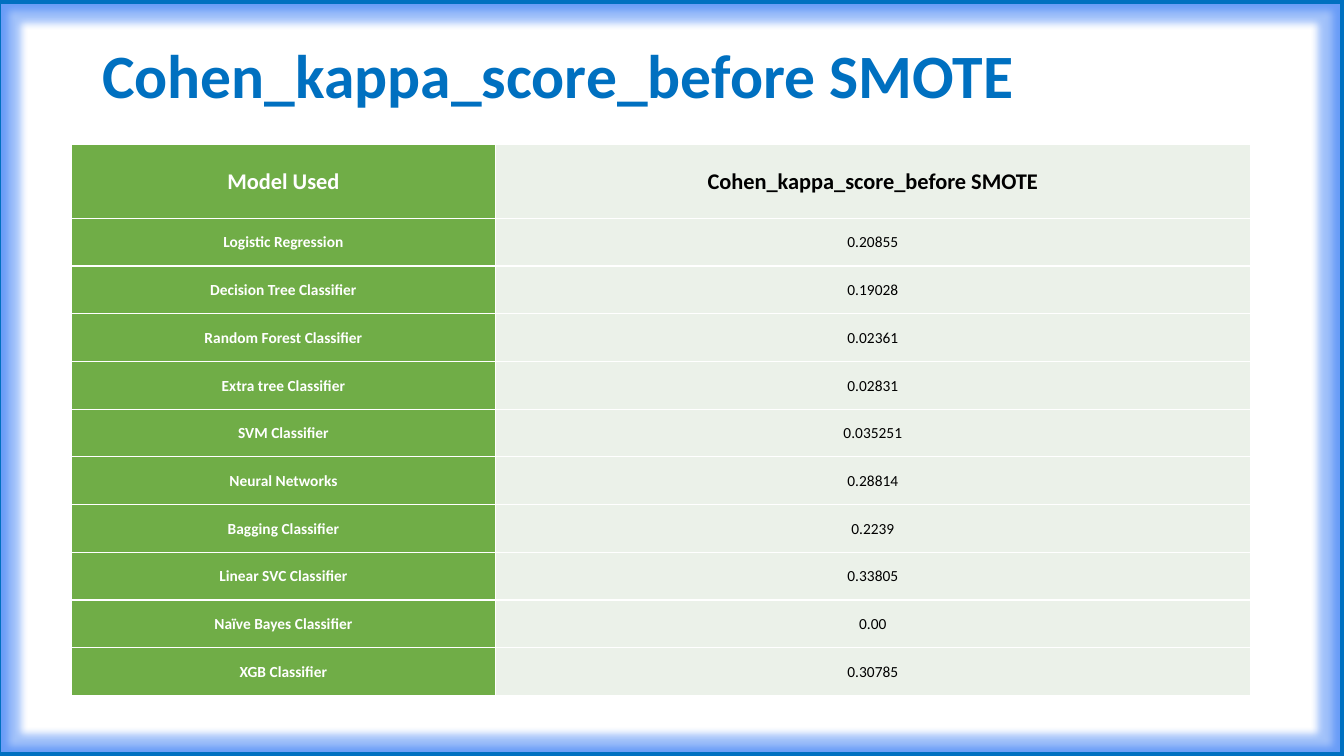
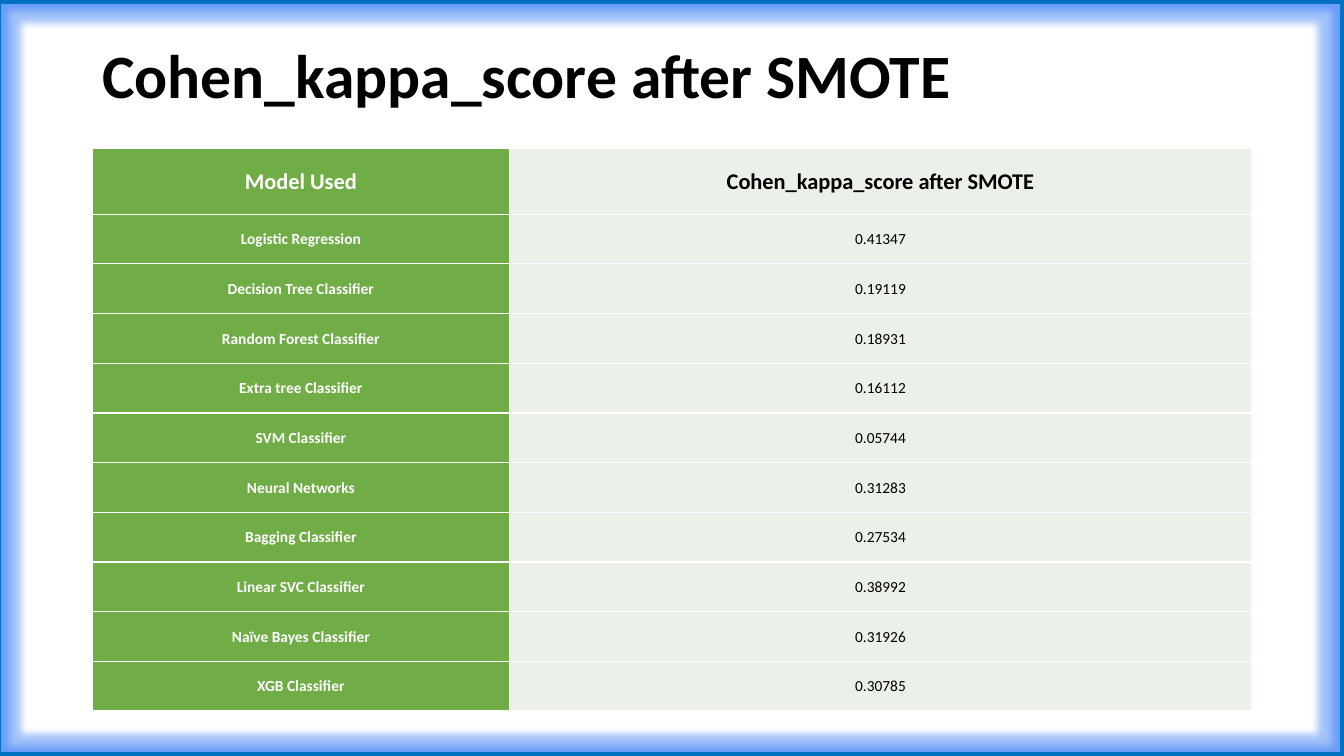
from lxml.etree import SubElement
from pptx import Presentation
from pptx.dml.color import RGBColor
from pptx.enum.shapes import MSO_SHAPE
from pptx.enum.text import MSO_ANCHOR, PP_ALIGN
from pptx.oxml import parse_xml
from pptx.oxml.ns import nsdecls, qn
from pptx.util import Pt

# Shared look
FONT = "Calibri"
BLUE, GREEN, PALE = "0070C0", "70AD47", "EBF1E9"
BLACK, WHITE, GLOW = "000000", "FFFFFF", "1465F4"
WIDE, HIGH = 960, 540

# Content
MODELS = ["Logistic Regression", "Decision Tree Classifier",
          "Random Forest Classifier", "Extra tree Classifier",
          "SVM Classifier", "Neural Networks", "Bagging Classifier",
          "Linear SVC Classifier", "Naïve Bayes Classifier",
          "XGB Classifier"]
BEFORE = ["0.20855", "0.19028", "0.02361", "0.02831", "0.035251",
          "0.28814", "0.2239", "0.33805", "0.00", "0.30785"]
AFTER = ["0.41347", "0.19119", "0.18931", "0.16112", "0.05744",
         "0.31283", "0.27534", "0.38992", "0.31926", "0.30785"]


def color(code):
    return RGBColor.from_string(code)


def style(para, size, code, bold):
    font = para.font
    font.name, font.size, font.bold = FONT, Pt(size), bold
    font.color.rgb = color(code)


def add_title(slide, text, code):
    box = slide.shapes.add_textbox(Pt(66), Pt(29), Pt(828), Pt(104))
    frame = box.text_frame
    frame.word_wrap = True
    frame.vertical_anchor = MSO_ANCHOR.TOP
    para = frame.paragraphs[0]
    para.text = text
    para.line_spacing = 0.9
    style(para, 44, code, True)


def add_border(slide):
    rect = slide.shapes.add_shape(MSO_SHAPE.RECTANGLE, Pt(-2), 0,
                                  Pt(WIDE + 2), Pt(HIGH))
    rect.fill.background()
    rect.line.color.rgb = color(BLUE)
    rect.line.width = Pt(6)
    rect.shadow.inherit = False
    # Soft glow around the line
    effects = rect.element.spPr.find(qn("a:effectLst"))
    effects.append(parse_xml(
        f'<a:glow {nsdecls("a")} rad="{Pt(11)}"><a:srgbClr val="{GLOW}">'
        '<a:alpha val="40000"/></a:srgbClr></a:glow>'))


def add_edges(cell):
    props = cell._tc.get_or_add_tcPr()
    for index, side in enumerate(("lnL", "lnR", "lnT", "lnB")):
        line = parse_xml(
            f'<a:{side} {nsdecls("a")} w="{Pt(1)}"><a:solidFill>'
            f'<a:srgbClr val="{WHITE}"/></a:solidFill></a:{side}>')
        props.insert(index, line)


def fill_cell(cell, text, size, back, code, bold):
    cell.text = text
    cell.vertical_anchor = MSO_ANCHOR.MIDDLE
    cell.margin_left = cell.margin_right = cell.margin_top = Pt(0.6)
    cell.margin_bottom = 0
    cell.fill.solid()
    cell.fill.fore_color.rgb = color(back)
    para = cell.text_frame.paragraphs[0]
    para.alignment = PP_ALIGN.CENTER
    style(para, size, code, bold)
    add_edges(cell)


def add_scores(slide, title, scores, left, top, widths, head, step):
    rows = [("Model Used", title), *zip(MODELS, scores)]
    high = head + step * len(scores)
    table = slide.shapes.add_table(len(rows), 2, Pt(left), Pt(top),
                                   Pt(sum(widths)), Pt(high)).table
    table.horz_banding = False
    for column, width in zip(table.columns, widths):
        column.width = Pt(width)
    for index, (model, score) in enumerate(rows):
        first = index == 0
        size = 16 if first else 11
        table.rows[index].height = Pt(head if first else step)
        fill_cell(table.cell(index, 0), model, size, GREEN, WHITE, True)
        fill_cell(table.cell(index, 1), score, size, PALE, BLACK, first)


def add_page(deck, title, code, scores, *layout):
    slide = deck.slides.add_slide(deck.slide_layouts[6])
    add_title(slide, title, code)
    add_border(slide)
    add_scores(slide, title, scores, *layout)


def main():
    deck = Presentation()
    deck.slide_width, deck.slide_height = Pt(WIDE), Pt(HIGH)
    add_page(deck, "Cohen_kappa_score_before SMOTE", BLUE, BEFORE,
             51, 103.5, (303, 539), 52.5, 34.1)
    add_page(deck, "Cohen_kappa_score after SMOTE", BLACK, AFTER,
             66, 106, (298, 530), 47, 35.5)
    deck.save("out.pptx")


main()
